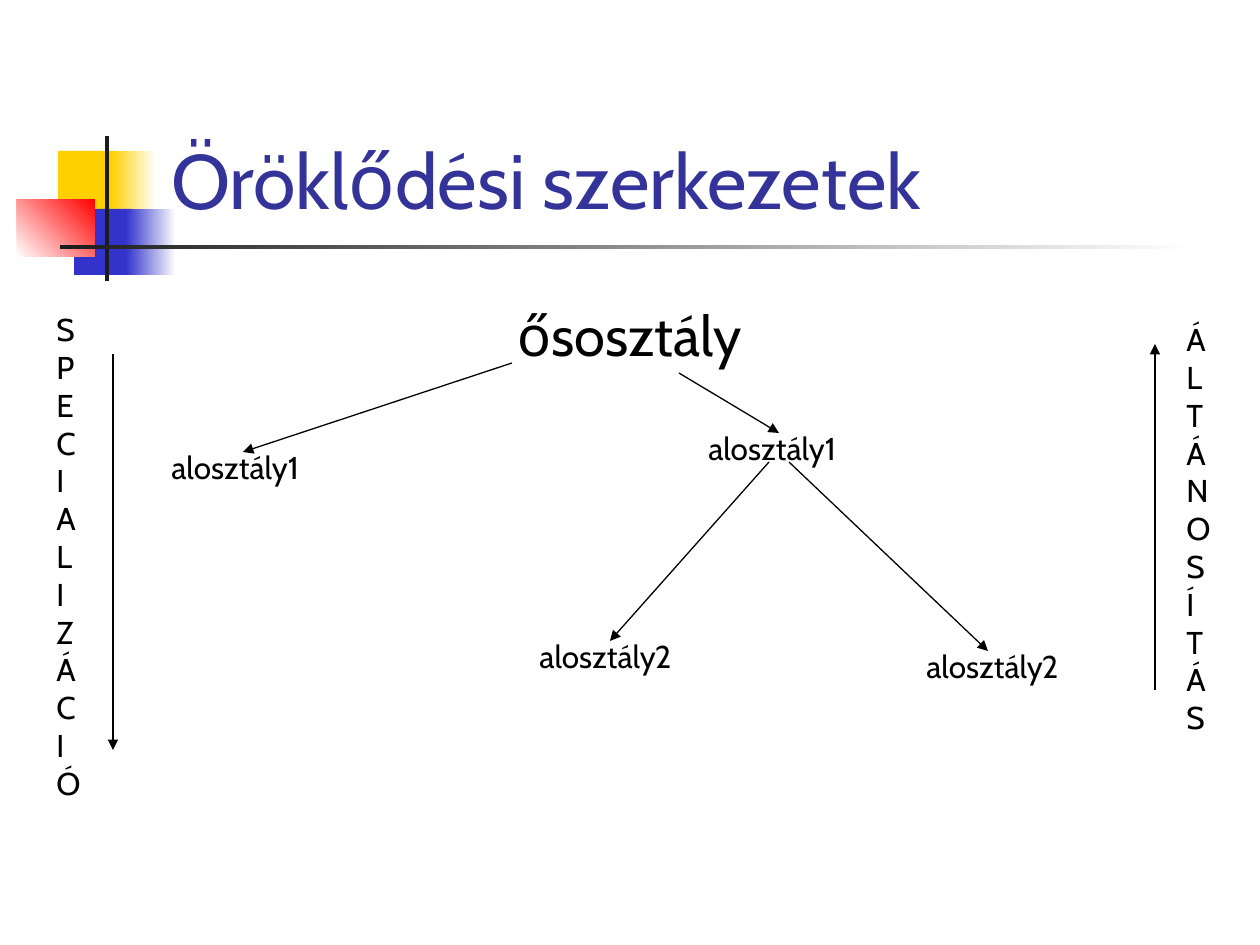
from lxml import etree
from pptx import Presentation
from pptx import util as u
from pptx.dml.color import RGBColor
from pptx.enum import shapes, text
from pptx.oxml import ns

YELLOW = RGBColor(0xFF, 0xCF, 0x01)
BLUE = RGBColor(0x33, 0x33, 0xCC)
RED = RGBColor(0xFF, 0x00, 0x00)
CHARCOAL = RGBColor(0x1C, 0x1C, 0x1C)
WHITE = RGBColor(0xFF, 0xFF, 0xFF)
BLACK = RGBColor(0x00, 0x00, 0x00)
INDIGO = RGBColor(0x33, 0x33, 0x99)

PX_PER_INCH = 126
WIDTH, HEIGHT = 1260, 945


def px(length):
    return u.Emu(round(length * u.Inches(1) / PX_PER_INCH))


class SlideBuilder:
    font_name = "Cabin"
    label_size = 18
    line_width = 0.75

    def __init__(self, slide):
        self.slide = slide

    def block(self, left, top, width, height, color, end=None, angle=0):
        shape = self.slide.shapes.add_shape(
            shapes.MSO_SHAPE.RECTANGLE, px(left), px(top), px(width), px(height)
        )
        shape.shadow.inherit = False
        shape.line.fill.background()
        if end is None:
            shape.fill.solid()
            shape.fill.fore_color.rgb = color
        else:
            shape.fill.gradient()
            shape.fill.gradient_angle = angle
            for stop, stop_color in zip(shape.fill.gradient_stops, (color, end)):
                stop.color.rgb = stop_color

    def text(self, left, top, width, height, words, size=label_size, color=BLACK,
             wrap=False, align=text.PP_ALIGN.LEFT, anchor=text.MSO_ANCHOR.TOP):
        shape = self.slide.shapes.add_textbox(px(left), px(top), px(width), px(height))
        frame = shape.text_frame
        frame.word_wrap = wrap
        frame.auto_size = (
            text.MSO_AUTO_SIZE.NONE if wrap else text.MSO_AUTO_SIZE.SHAPE_TO_FIT_TEXT
        )
        frame.vertical_anchor = anchor
        frame.text = words
        for paragraph in frame.paragraphs:
            paragraph.alignment = align
            paragraph.font.name = self.font_name
            paragraph.font.size = u.Pt(size)
            paragraph.font.color.rgb = color

    def arrow(self, start, end):
        connector = self.slide.shapes.add_connector(
            shapes.MSO_CONNECTOR.STRAIGHT, *map(px, start + end)
        )
        connector.line.color.rgb = BLACK
        connector.line.width = u.Pt(self.line_width)
        line = connector.line._get_or_add_ln()
        etree.SubElement(line, ns.qn("a:tailEnd"), type="triangle")
        etree.SubElement(connector._element.spPr, ns.qn("a:effectLst"))


def main():
    presentation = Presentation()
    presentation.slide_width = px(WIDTH)
    presentation.slide_height = px(HEIGHT)
    blank_layout = presentation.slide_layouts[6]
    builder = SlideBuilder(presentation.slides.add_slide(blank_layout))

    builder.block(58, 151, 60, 66, YELLOW)
    builder.block(111, 151, 45, 66, YELLOW, WHITE)
    builder.block(74, 209, 58, 66, BLUE)
    builder.block(126, 209, 50, 66, BLUE, WHITE)
    builder.block(17, 199, 78, 58, WHITE, RED, angle=45)
    builder.block(105, 136, 4, 145, CHARCOAL)
    builder.block(60, 245, 1134, 4, CHARCOAL, WHITE)

    builder.text(159, 29, 1074, 202, "Öröklődési szerkezetek", size=44, color=INDIGO,
                 wrap=True, anchor=text.MSO_ANCHOR.BOTTOM)
    builder.text(94, 294, 1071, 567, "ősosztály", size=32, wrap=True,
                 align=text.PP_ALIGN.CENTER)

    for left, top, subclass in (
        (159, 442, "alosztály1"),
        (696, 423, "alosztály1"),
        (527, 631, "alosztály2"),
        (914, 641, "alosztály2"),
    ):
        builder.text(left, top, 171, 50, subclass)

    for start, end in (
        ((512, 363), (243, 452)),
        ((679, 373), (779, 433)),
        ((769, 462), (610, 641)),
        ((789, 462), (988, 651)),
        ((113, 354), (113, 750)),
        ((1155, 690), (1155, 344)),
    ):
        builder.arrow(start, end)

    for left, top, height, word in (
        (44, 304, 504, "SPECIALIZÁCIÓ"),
        (1174, 314, 428, "ÁLTÁNOSÍTÁS"),
    ):
        builder.text(left, top, 49, height, "\n".join(word))

    presentation.save("out.pptx")


if __name__ == "__main__":
    main()
